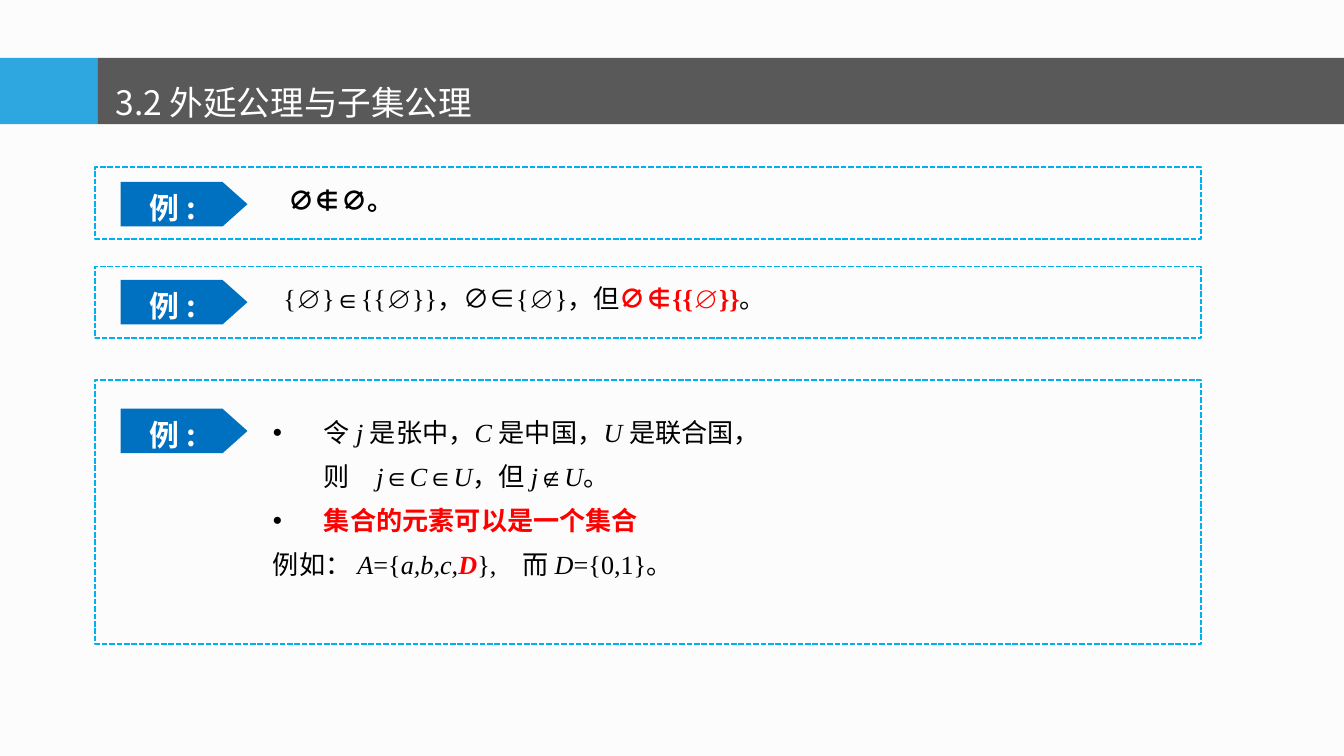
from dataclasses import dataclass

from lxml import etree
from pptx import Presentation
from pptx.dml.color import RGBColor
from pptx.enum.dml import MSO_LINE
from pptx.enum.shapes import MSO_SHAPE
from pptx.enum.text import MSO_ANCHOR, MSO_AUTO_SIZE, PP_ALIGN
from pptx.oxml.ns import qn
from pptx.util import Pt

RECTANGLE, PENTAGON = MSO_SHAPE.RECTANGLE, MSO_SHAPE.PENTAGON
DASHED = MSO_LINE.SQUARE_DOT
TOP, MIDDLE = MSO_ANCHOR.TOP, MSO_ANCHOR.MIDDLE
NO_AUTOFIT = MSO_AUTO_SIZE.NONE
LEFT, CENTER, JUSTIFY = PP_ALIGN.LEFT, PP_ALIGN.CENTER, PP_ALIGN.JUSTIFY


@dataclass(frozen=True)
class Theme:
    background: RGBColor = RGBColor(0xFC, 0xFC, 0xFC)
    accent: RGBColor = RGBColor(0x2E, 0xA7, 0xE0)
    banner: RGBColor = RGBColor(0x59, 0x59, 0x59)
    tag: RGBColor = RGBColor(0x00, 0x70, 0xC0)
    frame: RGBColor = RGBColor(0x00, 0xB0, 0xF0)
    light: RGBColor = RGBColor(0xFF, 0xFF, 0xFF)
    text: RGBColor = RGBColor(0x00, 0x00, 0x00)
    emphasis: RGBColor = RGBColor(0xFF, 0x00, 0x00)
    cjk_font: str = "Noto Sans CJK SC"
    math_font: str = "Times New Roman"
    title_size: int = 18
    tag_size: int = 16
    body_size: int = 14


THEME = Theme()

# Run styles: i = italic, b = bold, r = emphasis colour
SELF_MEMBERSHIP = [("∅∉∅。", "b")]
NESTED_SETS = [("{∅}∈{{∅}}，∅∈{∅}，但", ""), ("∅∉{{∅}}", "br"), ("。", "")]
# Each line: bulleted, left indent, alignment, runs
MEMBERSHIP_LINES = [
    (True, 27.36, JUSTIFY, [
        ("令 ", ""), ("j ", "i"), ("是张中，", ""), ("C ", "i"),
        ("是中国，", ""), ("U ", "i"), ("是联合国，", "")]),
    (False, 27.36, JUSTIFY, [
        ("则　", ""), ("j", "i"), ("∈", ""), ("C", "i"), ("∈", ""), ("U", "i"),
        ("，但 ", ""), ("j", "i"), ("∉", ""), ("U", "i"), ("。", "")]),
    (True, 27.36, LEFT, [("集合的元素可以是一个集合", "br")]),
    (False, 0, LEFT, [
        ("例如： ", ""), ("A", "i"), ("={", ""), ("a,b,c,", "i"), ("D", "ibr"),
        ("},　而 ", ""), ("D", "i"), ("={0,1}。", "")]),
]


def style_run(run, font_name, size, color, bold=False, italic=False):
    font = run.font
    font.name, font.size = font_name, Pt(size)
    font.bold, font.italic = bold, italic
    font.color.rgb = color
    east_asian = etree.SubElement(font._element, qn("a:ea"))
    east_asian.set("typeface", THEME.cjk_font)


def add_runs(paragraph, runs):
    for text, style in runs:
        run = paragraph.add_run()
        run.text = text
        color = THEME.emphasis if "r" in style else THEME.text
        style_run(run, THEME.math_font, THEME.body_size, color,
                  "b" in style, "i" in style)


def set_bullet(paragraph, bulleted, indent):
    properties = paragraph._p.get_or_add_pPr()
    properties.set("marL", str(Pt(indent)))
    properties.set("indent", str(Pt(-indent if bulleted else 0)))
    if bulleted:
        color = etree.SubElement(properties, qn("a:buClr"))
        etree.SubElement(color, qn("a:srgbClr")).set("val", str(THEME.text))
        etree.SubElement(properties, qn("a:buFont")).set("typeface", "Arial")
        etree.SubElement(properties, qn("a:buChar")).set("char", "•")
    else:
        etree.SubElement(properties, qn("a:buNone"))


def place(shape, left, top, width, height):
    shape.left, shape.top = Pt(left), Pt(top)
    shape.width, shape.height = Pt(width), Pt(height)


def add_block(slide, kind, box, fill=None):
    block = slide.shapes.add_shape(kind, *map(Pt, box))
    block.shadow.inherit = False
    block.line.fill.background()
    if fill is None:
        block.fill.background()
    else:
        block.fill.solid()
        block.fill.fore_color.rgb = fill
    return block


def add_header(slide, box):
    left, top, width, height = box
    accent_width = 52.5
    add_block(slide, RECTANGLE, (left, top, accent_width, height), THEME.accent)
    add_block(slide, RECTANGLE, (left + accent_width, top,
                                 width - accent_width, height), THEME.banner)

    # Title, brought in front of the bars
    title = slide.shapes.title
    title.element.getparent().append(title.element)
    place(title, left + 54.72, top - 5.8, 503, 39.6)
    frame = title.text_frame
    frame.text = "3.2 外延公理与子集公理"
    frame.auto_size, frame.vertical_anchor = NO_AUTOFIT, TOP
    heading = frame.paragraphs[0]
    heading.alignment, heading.line_spacing = LEFT, 1.7
    heading.space_before = Pt(0)
    style_run(heading.runs[0], THEME.cjk_font, THEME.title_size, THEME.light)


def add_example(slide, box, tag_offset):
    """Dashed frame with its arrow-shaped tag."""
    left, top, _, _ = box
    border = add_block(slide, RECTANGLE, box)
    border.line.color.rgb = THEME.frame
    border.line.width, border.line.dash_style = Pt(1), DASHED

    tag = add_block(slide, PENTAGON,
                    (left + 13.7, top + tag_offset, 67.9, 23.8), THEME.tag)
    tag.adjustments[0] = 0.56
    frame = tag.text_frame
    frame.text = "例 :"
    frame.vertical_anchor, frame.margin_right = MIDDLE, Pt(12.6)
    label = frame.paragraphs[0]
    label.alignment, label.line_spacing = CENTER, 1.2
    style_run(label.runs[0], THEME.cjk_font, THEME.tag_size, THEME.light, bold=True)


def add_formula(slide, box, runs, line_spacing):
    frame = slide.shapes.add_textbox(*map(Pt, box)).text_frame
    frame.word_wrap = True
    formula = frame.paragraphs[0]
    formula.alignment, formula.line_spacing = JUSTIFY, line_spacing
    add_runs(formula, runs)


def add_membership_list(slide, box):
    body = slide.placeholders[1]
    place(body, *box)
    frame = body.text_frame
    frame.auto_size, frame.vertical_anchor = NO_AUTOFIT, TOP
    for number, (bulleted, indent, alignment, runs) in enumerate(MEMBERSHIP_LINES):
        line = frame.add_paragraph() if number else frame.paragraphs[0]
        line.alignment, line.line_spacing = alignment, 1.25
        line.space_before = Pt(2.6 if number else 0)
        set_bullet(line, bulleted, indent)
        add_runs(line, runs)


def main():
    deck = Presentation()
    deck.slide_width, deck.slide_height = Pt(720), Pt(405)
    slide = deck.slides.add_slide(deck.slide_layouts[1])
    slide.background.fill.solid()
    slide.background.fill.fore_color.rgb = THEME.background

    add_header(slide, (0, 31, 720, 35.5))

    # Three examples, one below the other
    frame_left, frame_width = 51, 592.5
    for top, height, tag_offset in ((89.5, 38.5, 8), (142.8, 38.5, 7.2),
                                    (203.4, 141.6, 15.6)):
        add_example(slide, (frame_left, top, frame_width, height), tag_offset)
    add_formula(slide, (147.6, 97.2, 90, 22.3), SELF_MEMBERSHIP, 0.9)
    add_formula(slide, (144.7, 146.2, 362, 37.4), NESTED_SETS, 1.1)
    add_membership_list(slide, (139, 215.3, 388, 121.7))

    deck.save("out.pptx")


if __name__ == "__main__":
    main()
